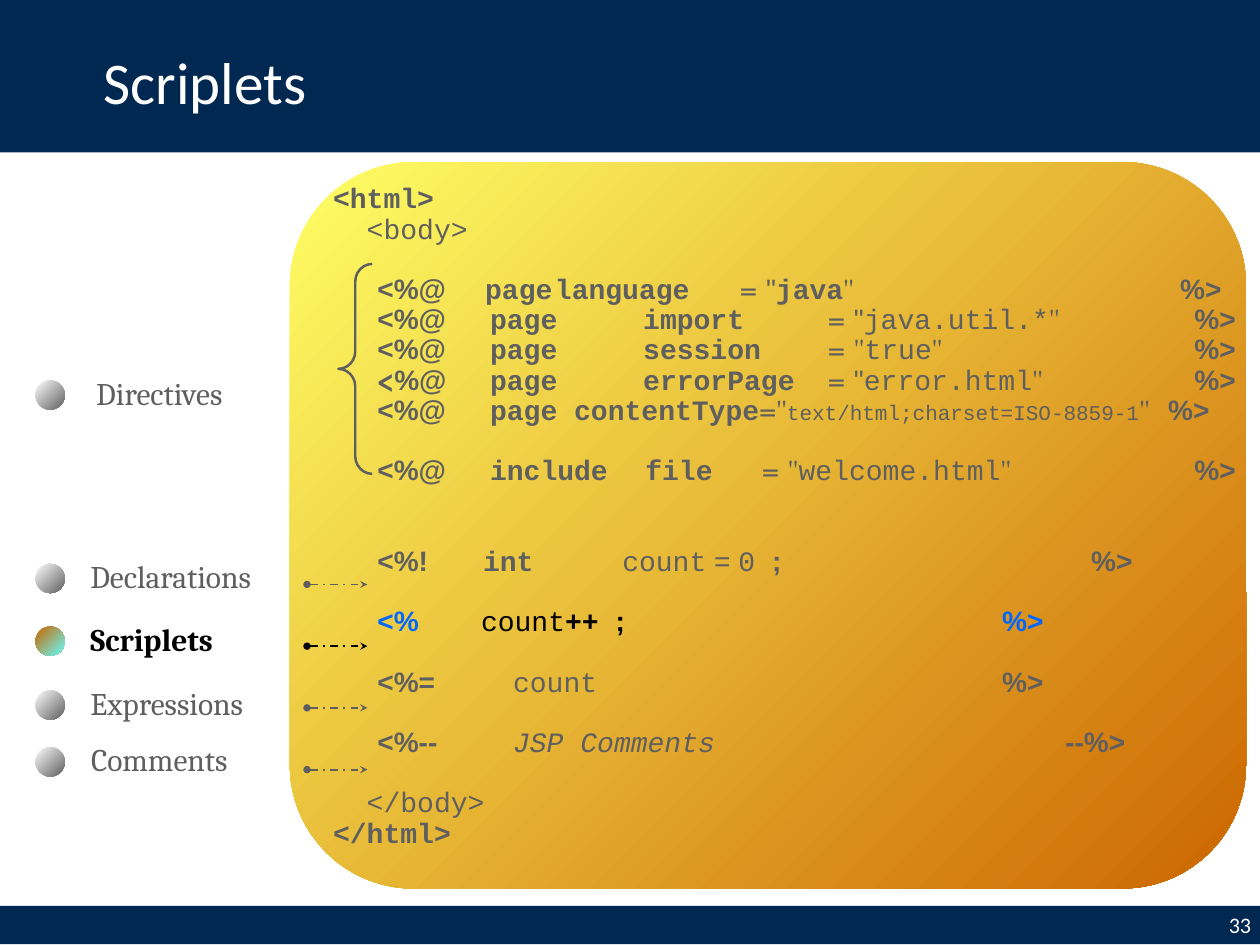
from dataclasses import dataclass, replace

from lxml import etree
from pptx import Presentation
from pptx.dml.color import RGBColor
from pptx.enum.dml import MSO_LINE
from pptx.enum.shapes import MSO_CONNECTOR, MSO_SHAPE
from pptx.enum.text import MSO_ANCHOR, MSO_AUTO_SIZE, PP_ALIGN
from pptx.oxml.ns import qn
from pptx.util import Cm, Pt

DASH_DOT = MSO_LINE.DASH_DOT
STRAIGHT = MSO_CONNECTOR.STRAIGHT
RECTANGLE = MSO_SHAPE.RECTANGLE
ROUNDED = MSO_SHAPE.ROUNDED_RECTANGLE
OVAL = MSO_SHAPE.OVAL
LEFT_BRACE = MSO_SHAPE.LEFT_BRACE
MIDDLE = MSO_ANCHOR.MIDDLE
LEFT, RIGHT = PP_ALIGN.LEFT, PP_ALIGN.RIGHT
NO_AUTOFIT = MSO_AUTO_SIZE.NONE

NAVY = RGBColor(0x00, 0x28, 0x50)
WHITE = RGBColor(0xFF, 0xFF, 0xFF)
BLACK = RGBColor(0x00, 0x00, 0x00)
GREY = RGBColor(0x5F, 0x5F, 0x5F)
BLUE = RGBColor(0x00, 0x66, 0xFF)
YELLOW = RGBColor(0xFF, 0xFF, 0x66)
ORANGE = RGBColor(0xCC, 0x66, 0x00)
CYAN = RGBColor(0x66, 0xFF, 0xFF)

SLIDE_WIDTH, SLIDE_HEIGHT = 36.12, 27.1
LINE_PITCH = 24.55
CODE_INDENT = 1.27


@dataclass(frozen=True)
class Style:
    font: str
    size: float = 22.8
    color: RGBColor = GREY
    bold: bool = False
    italic: bool = False


MONO = Style("Courier New")
MONO_BOLD = replace(MONO, bold=True)
MONO_SMALL = replace(MONO, size=17.1)
MONO_ITALIC = replace(MONO, italic=True)
SANS = Style("Arial")
SANS_BOLD = replace(SANS, bold=True)
SERIF = Style("TeX Gyre Bonum")
SERIF_BOLD = replace(SERIF, bold=True)
BLUE_TAG = replace(SANS_BOLD, color=BLUE)
LABEL = Style("Cambria", size=25.6)
ACTIVE_LABEL = replace(LABEL, color=BLACK, bold=True)

OPEN_DIRECTIVE = ("\t<%@", SANS_BOLD)
CLOSE_TAG = ("\t%>", SANS_BOLD)
PAGE_TABS = (4.5, 8.89, 14.19, 24.69)

# Blank lines above, tab stops in cm after the indent, runs
CODE_LINES = [
    (0, (), [("<html>", MONO_BOLD)]),
    (0, (), [("  <body>", MONO)]),
    (1, (4.36, 6.36, 11.67, 24.28),
     [OPEN_DIRECTIVE, ("\tpage\tlanguage\t", MONO_BOLD), ("= ", SERIF), ("\"", SANS),
      ("java", MONO_BOLD), ("\"", SERIF), CLOSE_TAG]),
    (0, PAGE_TABS,
     [OPEN_DIRECTIVE, ("\tpage\timport\t", MONO_BOLD), ("= ", SERIF), ("\"", SANS),
      ("java.util.*", MONO), ("\"", SERIF), CLOSE_TAG]),
    (0, PAGE_TABS,
     [OPEN_DIRECTIVE, ("\tpage\tsession\t", MONO_BOLD), ("= \"", SERIF),
      ("true", MONO), ("\"", SERIF), CLOSE_TAG]),
    (0, PAGE_TABS,
     [("\t<", SERIF_BOLD), ("%@", SANS_BOLD), ("\tpage\terrorPage\t", MONO_BOLD),
      ("= ", SERIF), ("\"", SANS), ("error.html", MONO), ("\"", SERIF), CLOSE_TAG]),
    (0, (4.5, 23.94),
     [OPEN_DIRECTIVE, ("\tpage contentType", MONO_BOLD), ("=\"", SERIF),
      ("text/html;charset=ISO-8859-1", MONO_SMALL), ("\"", SERIF), CLOSE_TAG]),
    (1, (4.5, 8.95, 12.3, 24.69),
     [OPEN_DIRECTIVE, ("\tinclude\tfile\t", MONO_BOLD), ("= \"", SERIF),
      ("welcome.html", MONO), ("\"", SERIF), CLOSE_TAG]),
    (2, (4.3, 8.29, 21.73),
     [("\t<%!", SANS_BOLD), ("\tint", MONO_BOLD), ("\tcount", MONO), (" = ", SANS),
      ("0 ", MONO), (";", SANS_BOLD), CLOSE_TAG]),
    (1, (4.24, 19.18),
     [("\t<%", BLUE_TAG), ("\tcount", replace(MONO, color=BLACK)),
      ("++ ", replace(MONO_BOLD, color=BLACK)),
      (";", replace(SANS_BOLD, color=BLACK)), ("\t%>", BLUE_TAG)]),
    (1, (5.16, 19.18), [("\t<%=", SANS_BOLD), ("\tcount", MONO), CLOSE_TAG]),
    (1, (5.16, 20.99),
     [("\t<%--", SANS_BOLD), ("\tJSP Comments", MONO_ITALIC), ("\t--%>", SANS_BOLD)]),
    (1, (), [("  </body>", MONO)]),
    (0, (), [("</html>", MONO_BOLD)]),
]

# Text, left and top in cm
TOPICS = [
    ("Directives", 2.51, 10.59),
    ("Declarations", 2.34, 15.85),
    ("Scriplets", 2.34, 17.65),
    ("Expressions", 2.34, 19.48),
    ("Comments", 2.36, 21.11),
]
ACTIVE_TOPIC = "Scriplets"


def add_run(paragraph, text, style):
    run = paragraph.add_run()
    run.text = text
    run.font.name = style.font
    run.font.size = Pt(style.size)
    run.font.bold = style.bold
    run.font.italic = style.italic
    run.font.color.rgb = style.color


def add_plain_shape(slide, kind, left, top, width, height):
    shape = slide.shapes.add_shape(kind, Cm(left), Cm(top), Cm(width), Cm(height))
    shape.shadow.inherit = False
    shape.line.fill.background()
    return shape


def add_band(slide, top, height):
    band = add_plain_shape(slide, RECTANGLE, 0, top, SLIDE_WIDTH, height)
    band.fill.solid()
    band.fill.fore_color.rgb = NAVY
    return band


def fill_diagonally(shape, start, end):
    shape.fill.gradient()
    shape.fill.gradient_angle = 315
    for stop, color in zip(shape.fill.gradient_stops, (start, end)):
        stop.color.rgb = color


def add_text_box(slide, left, top, width, height):
    box = slide.shapes.add_textbox(Cm(left), Cm(top), Cm(width), Cm(height))
    box.text_frame.word_wrap = True
    return box.text_frame


def add_tab_stops(paragraph, positions):
    properties = paragraph._p.get_or_add_pPr()
    tab_list = etree.SubElement(properties, qn("a:tabLst"))
    for position in positions:
        etree.SubElement(tab_list, qn("a:tab"), pos=str(Cm(position)), algn="l")


def add_code(slide):
    frame = add_text_box(slide, 9.3, 5.16, 26.5, 20.4)
    for number, (blank_lines, tabs, runs) in enumerate(CODE_LINES):
        paragraph = frame.add_paragraph() if number else frame.paragraphs[0]
        paragraph.line_spacing = Pt(LINE_PITCH)
        if blank_lines:
            paragraph.space_before = Pt(blank_lines * LINE_PITCH)
        if tabs:
            add_tab_stops(paragraph, (CODE_INDENT, *tabs))
        for text, style in runs:
            add_run(paragraph, text, style)


def add_topic(slide, text, left, top):
    """Add a label with its ball; the active topic is highlighted."""
    active = text == ACTIVE_TOPIC
    ball = add_plain_shape(slide, OVAL, 1.02, top + 0.32, 0.84, 0.84)
    fill_diagonally(ball, *((ORANGE, CYAN) if active else (WHITE, GREY)))
    frame = add_text_box(slide, left, top, 6.32, 1.35)
    add_run(frame.paragraphs[0], text, ACTIVE_LABEL if active else LABEL)


def add_arrow(slide, top, color):
    arrow = slide.shapes.add_connector(STRAIGHT, Cm(8.8), Cm(top), Cm(10.53), Cm(top))
    arrow.line.color.rgb = color
    arrow.line.width = Pt(1.5)
    arrow.line.dash_style = DASH_DOT
    line = arrow.line._get_or_add_ln()
    etree.SubElement(line, qn("a:headEnd"), type="oval")
    etree.SubElement(line, qn("a:tailEnd"), type="stealth")
    etree.SubElement(arrow._element.spPr, qn("a:effectLst"))


def add_brace(slide):
    brace = add_plain_shape(slide, LEFT_BRACE, 9.7, 7.57, 0.97, 6.02)
    brace.adjustments[0] = 0.52
    brace.fill.background()
    brace.line.color.rgb = GREY
    brace.line.width = Pt(2)


def set_title(slide, text):
    title = slide.shapes.title
    title.left, title.top, title.width, title.height = Cm(2.72), Cm(0.43), Cm(30.71), Cm(4.01)
    title.text_frame.auto_size = NO_AUTOFIT
    title.text_frame.vertical_anchor = MIDDLE
    paragraph = title.text_frame.paragraphs[0]
    paragraph.alignment = LEFT
    paragraph.line_spacing = 0.9
    add_run(paragraph, text, Style("Calibri", size=48, color=WHITE))
    title._element.getparent().append(title._element)  # in front of the band


def main():
    presentation = Presentation()
    presentation.slide_width, presentation.slide_height = Cm(SLIDE_WIDTH), Cm(SLIDE_HEIGHT)
    slide = presentation.slides.add_slide(presentation.slide_layouts[5])

    add_band(slide, 0, 4.37)
    footer = add_band(slide, 25.98, 1.1)
    footer.text_frame.vertical_anchor = MIDDLE
    page_number = footer.text_frame.paragraphs[0]
    page_number.alignment = RIGHT
    add_run(page_number, "33", Style("Calibri", size=18, color=WHITE))

    panel = add_plain_shape(slide, ROUNDED, 8.31, 4.65, 27.41, 20.83)
    panel.adjustments[0] = 0.17
    fill_diagonally(panel, YELLOW, ORANGE)
    add_code(slide)
    add_brace(slide)
    for topic in TOPICS:
        add_topic(slide, *topic)
    for number, color in enumerate((GREY, BLACK, GREY, GREY)):
        add_arrow(slide, 16.76 + 1.77 * number, color)
    set_title(slide, "Scriplets")
    presentation.save("out.pptx")


if __name__ == "__main__":
    main()
